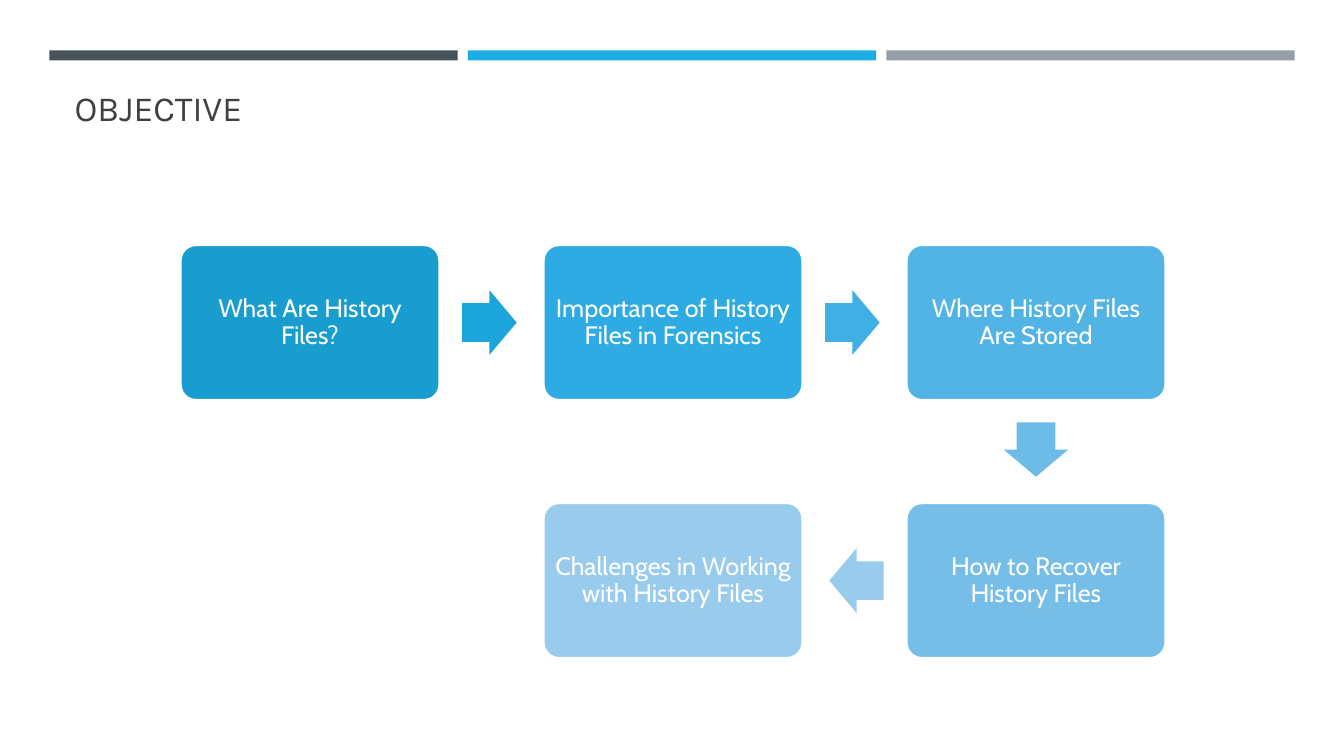
from dataclasses import dataclass

from pptx import Presentation
from pptx import util as u
from pptx.dml.color import RGBColor
from pptx.enum import shapes, text

# Content
TITLE = "OBJECTIVE"
# Label, column, row, box colour, colour of the arrow to the next step
STEPS = [
    ("What Are History Files?", 0, 0, "199DCF", "1BA5DA"),
    ("Importance of History Files in Forensics", 1, 0, "2DABE2", "40B0E4"),
    ("Where History Files Are Stored", 2, 0, "52B3E5", "6DBCE8"),
    ("How to Recover History Files", 2, 1, "76BEE8", "98CBEC"),
    ("Challenges in Working with History Files", 1, 1, "99CBEC", None),
]


@dataclass(frozen=True)
class Theme:
    bars: tuple = ("465359", "1CADE4", "969FA7")
    title_color: str = "404040"
    label_color: str = "FFFFFF"
    outline: str = "FFFFFF"
    title_font: str = "Karla"
    label_font: str = "Cabin"
    title_size: float = 25.2
    label_size: float = 18


THEME = Theme()

# Layout in inches
BAR_LEFT, BAR_TOP, BAR_WIDTH, BAR_HEIGHT, BAR_PITCH = 0.49, 0.5, 4.05, 0.1, 4.15
FLOW_LEFT, FLOW_TOP = 1.79, 2.43
BOX_WIDTH, BOX_HEIGHT = 2.57, 1.54
COLUMN_PITCH, ROW_PITCH = 3.6, 2.56
ARROW_LENGTH, ARROW_THICKNESS, ARROW_SETBACK = 0.54, 0.64, 0.02
LABEL_INSET = 0.07
ROTATION = {(1, 0): 0, (0, 1): 90, (-1, 0): 180}


def add_filled(slide, preset, left, top, width, height, color):
    shape = slide.shapes.add_shape(
        preset, u.Inches(left), u.Inches(top), u.Inches(width), u.Inches(height))
    shape.shadow.inherit = False
    shape.fill.solid()
    shape.fill.fore_color.rgb = RGBColor.from_string(color)
    shape.line.fill.background()
    return shape


def style_text(paragraph, font_name, size, color):
    font = paragraph.runs[0].font
    font.name = font_name
    font.size = u.Pt(size)
    font.color.rgb = RGBColor.from_string(color)


def add_title(slide):
    title = slide.shapes.title
    title.left, title.top = u.Inches(0.64), u.Inches(0.77)
    title.width, title.height = u.Inches(12.06), u.Inches(0.56)
    frame = title.text_frame
    frame.text = TITLE
    frame.auto_size = text.MSO_AUTO_SIZE.NONE
    frame.vertical_anchor = text.MSO_ANCHOR.BOTTOM
    frame.paragraphs[0].alignment = text.PP_ALIGN.LEFT
    style_text(frame.paragraphs[0], THEME.title_font, THEME.title_size, THEME.title_color)


def add_step(slide, label, column, row, color):
    box = add_filled(
        slide, shapes.MSO_SHAPE.ROUNDED_RECTANGLE,
        FLOW_LEFT + column * COLUMN_PITCH, FLOW_TOP + row * ROW_PITCH,
        BOX_WIDTH, BOX_HEIGHT, color)
    box.adjustments[0] = 0.1
    box.line.color.rgb = RGBColor.from_string(THEME.outline)
    box.line.width = u.Pt(1.75)
    frame = box.text_frame
    frame.word_wrap = True
    frame.vertical_anchor = text.MSO_ANCHOR.MIDDLE
    frame.margin_left = frame.margin_right = u.Inches(LABEL_INSET)
    frame.margin_top = frame.margin_bottom = u.Inches(LABEL_INSET)
    frame.text = label
    paragraph = frame.paragraphs[0]
    paragraph.alignment = text.PP_ALIGN.CENTER
    paragraph.line_spacing = 0.9
    style_text(paragraph, THEME.label_font, THEME.label_size, THEME.label_color)


def add_arrow(slide, column, row, direction, color):
    # The arrow sits halfway to the next box, set back slightly
    across, down = direction
    center_x = (FLOW_LEFT + column * COLUMN_PITCH + BOX_WIDTH / 2
                + across * (COLUMN_PITCH / 2 - ARROW_SETBACK))
    center_y = (FLOW_TOP + row * ROW_PITCH + BOX_HEIGHT / 2
                + down * (ROW_PITCH / 2 - ARROW_SETBACK))
    arrow = add_filled(
        slide, shapes.MSO_SHAPE.RIGHT_ARROW,
        center_x - ARROW_LENGTH / 2, center_y - ARROW_THICKNESS / 2,
        ARROW_LENGTH, ARROW_THICKNESS, color)
    arrow.adjustments[0] = 0.6
    arrow.adjustments[1] = 0.5
    arrow.rotation = ROTATION[direction]


def main():
    presentation = Presentation()
    presentation.slide_width = u.Inches(13.33)
    presentation.slide_height = u.Inches(7.5)
    slide = presentation.slides.add_slide(presentation.slide_layouts[5])

    # Header bars and title
    for index, color in enumerate(THEME.bars):
        add_filled(slide, shapes.MSO_SHAPE.RECTANGLE, BAR_LEFT + index * BAR_PITCH,
                   BAR_TOP, BAR_WIDTH, BAR_HEIGHT, color)
    add_title(slide)

    # Steps
    for label, column, row, color, _ in STEPS:
        add_step(slide, label, column, row, color)

    # Arrows between consecutive steps
    for current, following in zip(STEPS, STEPS[1:]):
        _, column, row, _, arrow_color = current
        direction = (following[1] - column, following[2] - row)
        add_arrow(slide, column, row, direction, arrow_color)

    presentation.save("out.pptx")


if __name__ == "__main__":
    main()
